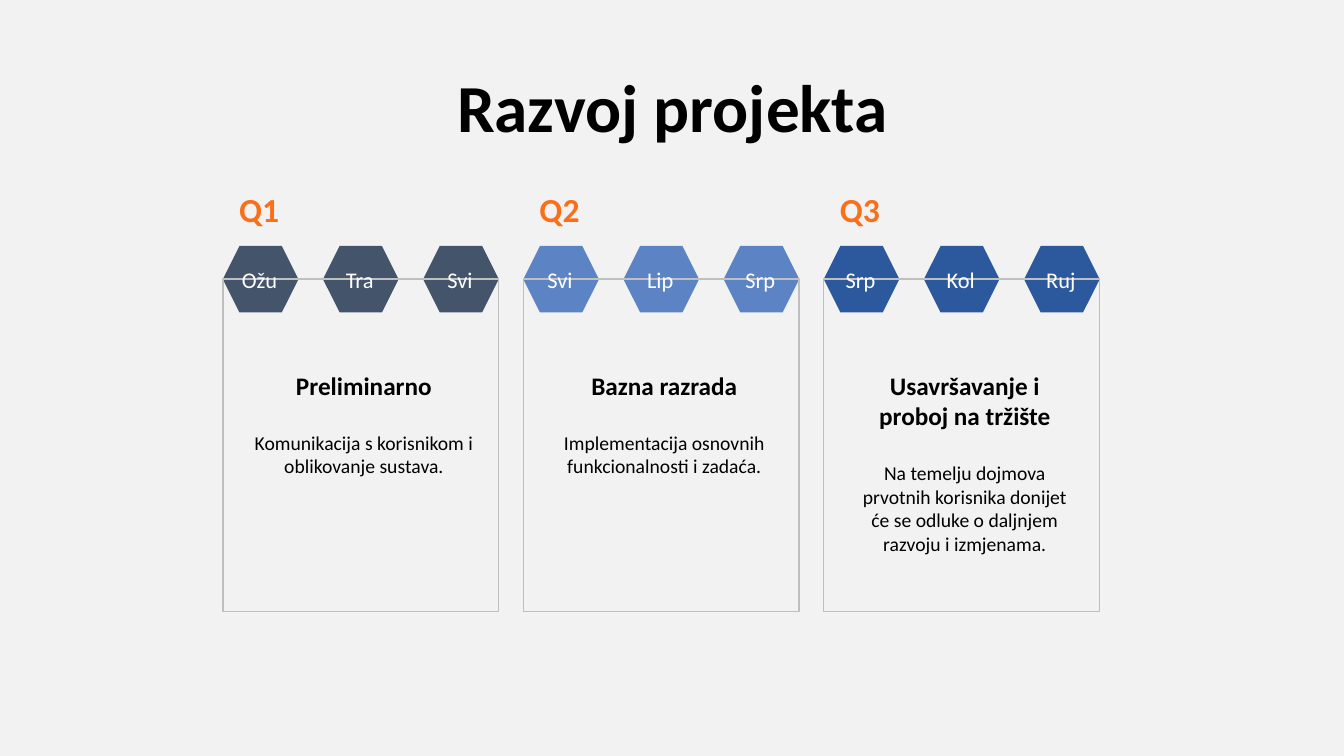
from dataclasses import dataclass

from pptx import Presentation
from pptx.dml.color import RGBColor
from pptx.enum.shapes import MSO_SHAPE
from pptx.enum.text import MSO_ANCHOR, PP_ALIGN
from pptx.util import Inches, Pt

HEXAGON, RECTANGLE = MSO_SHAPE.HEXAGON, MSO_SHAPE.RECTANGLE
TOP, MIDDLE = MSO_ANCHOR.TOP, MSO_ANCHOR.MIDDLE
CENTER = PP_ALIGN.CENTER


@dataclass(frozen=True)
class Theme:
    font: str = "Calibri"
    background: str = "F2F2F2"
    text: str = "000000"
    month_text: str = "FFFFFF"
    accent: str = "FA6F1A"
    frame: str = "BFBFBF"
    title_size: int = 48
    quarter_size: int = 24
    heading_size: int = 18
    month_size: int = 16
    body_size: int = 14
    heading_gap: int = 22


THEME = Theme()

# Three quarters across, three months in each quarter
SLIDE_WIDTH, SLIDE_HEIGHT = 13.33, 7.5
GRID_LEFT = 2.21
QUARTER_PITCH = 2.98
MONTH_PITCH = QUARTER_PITCH / 3
HEXAGON_WIDTH, HEXAGON_HEIGHT = 0.75, 0.66
HEXAGON_TOP = 2.44
FRAME_TOP = HEXAGON_TOP + HEXAGON_HEIGHT / 2
FRAME_WIDTH, FRAME_HEIGHT = 2 * MONTH_PITCH + HEXAGON_WIDTH, 3.3

QUARTERS = [
    ("Q1", "44546A", ("Ožu", "Tra", "Svi"), "Preliminarno",
     "Komunikacija s korisnikom i oblikovanje sustava."),
    ("Q2", "5C83C4", ("Svi", "Lip", "Srp"), "Bazna razrada",
     "Implementacija osnovnih funkcionalnosti i zadaća."),
    ("Q3", "2C599D", ("Srp", "Kol", "Ruj"), "Usavršavanje i proboj na tržište",
     "Na temelju dojmova prvotnih korisnika donijet će se odluke o daljnjem "
     "razvoju i izmjenama."),
]


def add_text_box(slide, left, top, width, height, anchor=TOP, right_inset=0.1):
    box = slide.shapes.add_textbox(*map(Inches, (left, top, width, height)))
    frame = box.text_frame
    frame.word_wrap = True
    frame.vertical_anchor = anchor
    frame.margin_right = Inches(right_inset)
    return frame


def write(paragraph, text, *, size, color=THEME.text, bold=False,
          line_spacing=1.0, space_after=0):
    paragraph.alignment = CENTER
    paragraph.line_spacing = line_spacing
    paragraph.space_after = Pt(space_after)
    run = paragraph.add_run()
    run.text = text
    run.font.name = THEME.font
    run.font.size = Pt(size)
    run.font.bold = bold
    run.font.color.rgb = RGBColor.from_string(color)


def add_plain_shape(slide, kind, left, top, width, height, fill=None, line=None):
    shape = slide.shapes.add_shape(kind, *map(Inches, (left, top, width, height)))
    shape.shadow.inherit = False
    if fill:
        shape.fill.solid()
        shape.fill.fore_color.rgb = RGBColor.from_string(fill)
    else:
        shape.fill.background()
    if line:
        shape.line.color.rgb = RGBColor.from_string(line)
        shape.line.width = Pt(1)
    else:
        shape.line.fill.background()


def add_title(slide, text):
    frame = add_text_box(slide, 0.47, 0.71, 12.4, 0.77, anchor=MIDDLE)
    write(frame.paragraphs[0], text, size=THEME.title_size, bold=True,
          line_spacing=0.9)


def add_months(slide, left, months, color):
    """Draw the hexagons, then the frame across them, then the month names."""
    month_lefts = [left + index * MONTH_PITCH for index in range(len(months))]
    for month_left in month_lefts:
        add_plain_shape(slide, HEXAGON, month_left, HEXAGON_TOP,
                        HEXAGON_WIDTH, HEXAGON_HEIGHT, fill=color)
    add_plain_shape(slide, RECTANGLE, left, FRAME_TOP, FRAME_WIDTH, FRAME_HEIGHT,
                    line=THEME.frame)
    for month_left, month in zip(month_lefts, months):
        frame = add_text_box(slide, month_left - 0.05, 2.59, 0.83, 0.37)
        write(frame.paragraphs[0], month, size=THEME.month_size,
              color=THEME.month_text)


def add_quarter(slide, left, name, color, months, heading, description):
    label = add_text_box(slide, left + 0.03, 1.82, 0.66, 0.55, anchor=MIDDLE)
    write(label.paragraphs[0], name, size=THEME.quarter_size,
          color=THEME.accent, bold=True, line_spacing=0.9)
    add_months(slide, left, months, color)
    body = add_text_box(slide, left + 0.21, 3.62, 2.28, 1.76, right_inset=0)
    write(body.paragraphs[0], heading, size=THEME.heading_size, bold=True,
          space_after=THEME.heading_gap)
    write(body.add_paragraph(), description, size=THEME.body_size)


def main():
    presentation = Presentation()
    presentation.slide_width = Inches(SLIDE_WIDTH)
    presentation.slide_height = Inches(SLIDE_HEIGHT)
    slide = presentation.slides.add_slide(presentation.slide_layouts[6])
    slide.background.fill.solid()
    slide.background.fill.fore_color.rgb = RGBColor.from_string(THEME.background)

    add_title(slide, "Razvoj projekta")
    for index, quarter in enumerate(QUARTERS):
        add_quarter(slide, GRID_LEFT + index * QUARTER_PITCH, *quarter)
    presentation.save("out.pptx")


if __name__ == "__main__":
    main()
